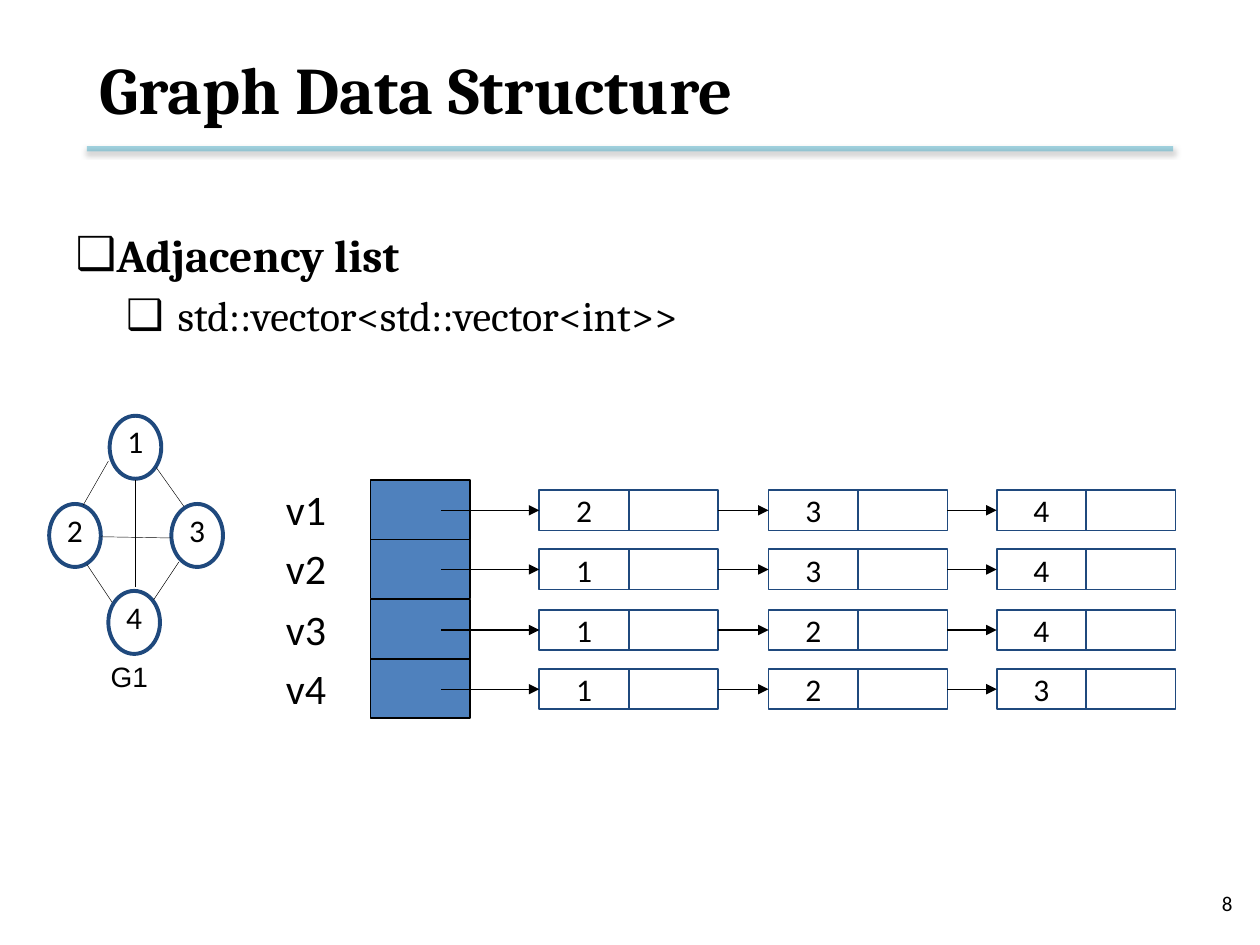
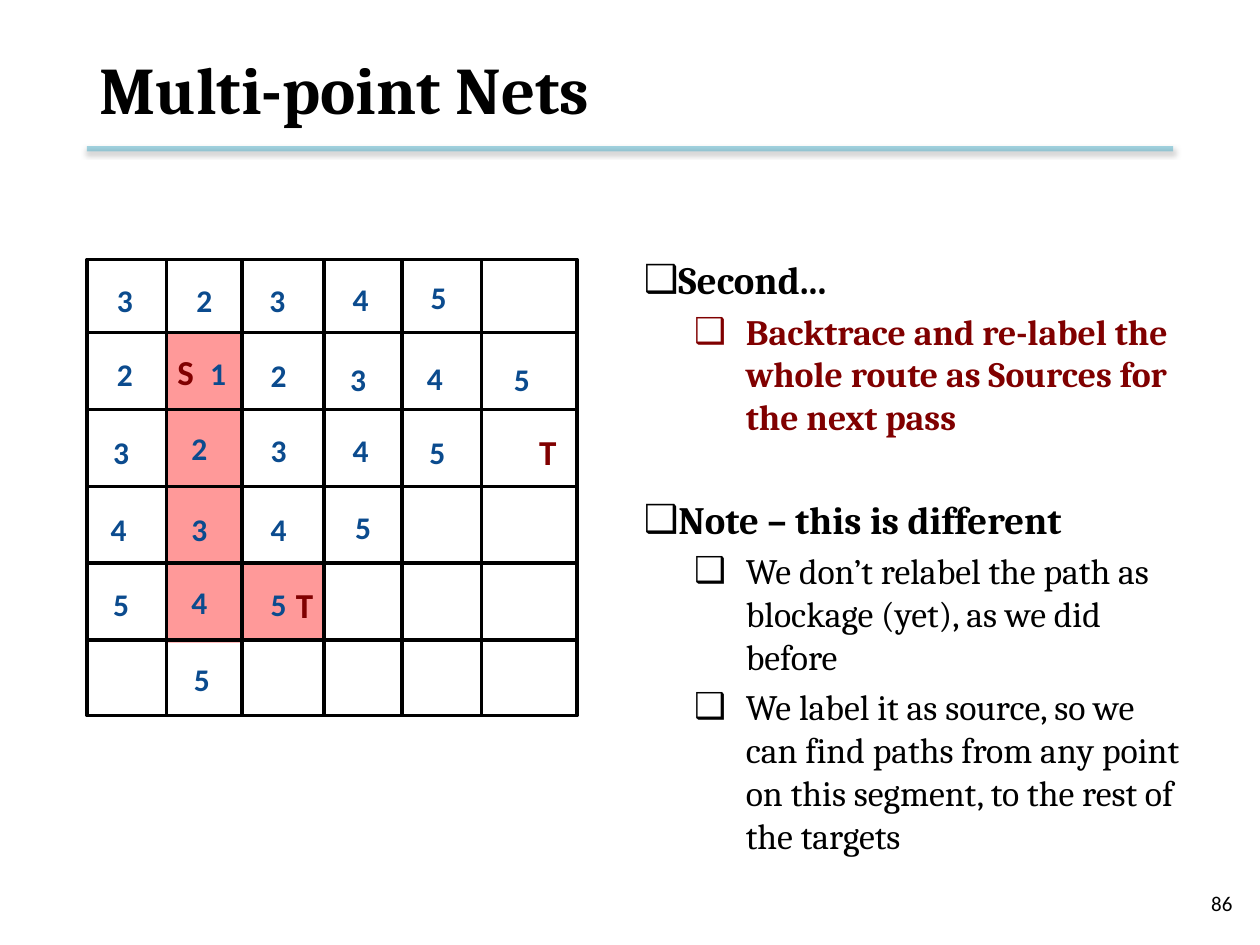
"""Build two lecture slides: adjacency lists and multi-point net routing."""
from dataclasses import dataclass
from typing import NamedTuple, Optional

from lxml import etree
from pptx import Presentation
from pptx import slide as sl
from pptx import util as u
from pptx.dml import color
from pptx.enum import shapes, text
from pptx.oxml import ns
from pptx.shapes import autoshape, connector
from pptx.text import text as tx

PX = 9144
BLACK, NAVY, STEEL, TEAL = "000000", "1F497D", "4F81BD", "4BACC6"
MAROON, LABEL_BLUE, ROSE = "800000", "0B4B8E", "FF9999"
BULLET = "❑"
RECT, OVAL = shapes.MSO_SHAPE.RECTANGLE, shapes.MSO_SHAPE.OVAL
LEFT, CENTER, RIGHT = text.PP_ALIGN.LEFT, text.PP_ALIGN.CENTER, text.PP_ALIGN.RIGHT
TOP, MIDDLE = text.MSO_ANCHOR.TOP, text.MSO_ANCHOR.MIDDLE


class Box(NamedTuple):
    x: int
    y: int
    w: int
    h: int


class Segment(NamedTuple):
    x1: int
    y1: int
    x2: int
    y2: int


@dataclass(frozen=True)
class Style:
    size: float
    font: str = "Calibri"
    color: str = BLACK
    bold: bool = False


@dataclass(frozen=True)
class Point:
    words: str
    style: Style
    level: int = 0
    before: Optional[int] = None


TITLE = Style(38, "Cambria", bold=True)
NUMBER, VERTEX, VECTOR = Style(12), Style(18), Style(24)
CAPTION = Style(16, "Arial")
TERMINAL = Style(20, color=MAROON, bold=True)
DISTANCE = Style(18, color=LABEL_BLUE, bold=True)
INDENTS = [(25, -45), (81, -41)]

VERTICES = {"1": (87, 330), "3": (136, 400), "4": (86, 469), "2": (39, 400)}
EDGES = [
    Segment(124, 371, 146, 402), Segment(122, 476, 142, 446),
    Segment(69, 448, 89, 478), Segment(66, 401, 86, 366),
    Segment(80, 426, 136, 427), Segment(107, 381, 107, 466),
]
NEIGHBOURS = {"v1": "234", "v2": "134", "v3": "124", "v4": "123"}

ROUTE = [Box(133, 263, 59, 247), Box(152, 446, 105, 63)]
TERMINALS = [("S", Box(131, 273, 39, 43)), ("T", Box(225, 458, 37, 43)),
             ("T", Box(418, 337, 37, 43))]
WAVEFRONT = {
    "1": [(157, 276)],
    "2": [(146, 218), (205, 278), (83, 277), (142, 336)],
    "3": [(204, 218), (268, 281), (205, 337), (142, 400), (80, 339), (83, 218)],
    "4": [(270, 217), (329, 280), (270, 337), (205, 400), (142, 458), (78, 400)],
    "5": [(332, 216), (398, 281), (331, 339), (272, 398), (205, 459), (144, 519),
          (80, 459)],
}


def rgb(value: str) -> color.RGBColor:
    """Turn a hex string into a colour."""
    return color.RGBColor.from_string(value)


def emu(lengths: tuple) -> list[int]:
    """Scale px lengths to EMU."""
    return [u.Emu(length * PX) for length in lengths]


def child(parent: etree._Element, tag: str, **attributes: object) -> etree._Element:
    """Append a drawing element with attributes."""
    return etree.SubElement(parent, ns.qn(tag), {k: str(v) for k, v in attributes.items()})


def write(paragraph: tx._Paragraph, words: str, style: Style) -> None:
    """Add one formatted run."""
    run = paragraph.add_run()
    run.text = words
    run.font.name = style.font
    run.font.size = u.Pt(style.size)
    run.font.bold = style.bold
    run.font.color.rgb = rgb(style.color)


def add_label(slide: sl.Slide, box: Box, words: str, style: Style,
              align: text.PP_ALIGN = LEFT, anchor: text.MSO_ANCHOR = TOP,
              wrap: bool = False) -> None:
    """Place a text box, grown to its words unless it wraps."""
    frame = slide.shapes.add_textbox(*emu(box)).text_frame
    frame.word_wrap = wrap
    frame.auto_size = text.MSO_AUTO_SIZE.NONE if wrap else text.MSO_AUTO_SIZE.SHAPE_TO_FIT_TEXT
    frame.vertical_anchor = anchor
    frame.paragraphs[0].alignment = align
    write(frame.paragraphs[0], words, style)


def add_block(slide: sl.Slide, box: Box, fill: str = "", line: str = "",
              width: float = 1, kind: shapes.MSO_SHAPE = RECT) -> autoshape.Shape:
    """Draw a flat shape with optional fill and outline."""
    block = slide.shapes.add_shape(kind, *emu(box))
    block.shadow.inherit = False
    if fill:
        block.fill.solid()
        block.fill.fore_color.rgb = rgb(fill)
    else:
        block.fill.background()
    if line:
        block.line.color.rgb = rgb(line)
        block.line.width = u.Pt(width)
    else:
        block.line.fill.background()
    return block


def add_line(slide: sl.Slide, segment: Segment, width: float, hue: str = BLACK,
             arrow: bool = False) -> connector.Connector:
    """Draw a straight line without shadow."""
    line = slide.shapes.add_connector(shapes.MSO_CONNECTOR.STRAIGHT, *emu(segment))
    line.line.color.rgb = rgb(hue)
    line.line.width = u.Pt(width)
    if arrow:
        child(line.line._get_or_add_ln(), "a:tailEnd", type="triangle")
    child(line.element.spPr, "a:effectLst")
    return line


def add_title_rule(slide: sl.Slide) -> None:
    """Move a translucent shadowed rule onto the shared layout."""
    rule = add_line(slide, Segment(69, 118, 931, 118), 3, TEAL)
    properties = rule.element.spPr
    child(properties.find(".//" + ns.qn("a:srgbClr")), "a:alpha", val=50000)
    shadow = child(properties.find(ns.qn("a:effectLst")), "a:outerShdw",
                   blurRad=u.Pt(3.1), dist=u.Pt(1.6), dir=5400000, rotWithShape=0)
    child(child(shadow, "a:srgbClr", val=BLACK), "a:alpha", val=38000)
    slide.slide_layout.shapes.element.append(rule.element)


def fill_body(slide: sl.Slide, box: Box, points: list[Point]) -> None:
    """Fill the body placeholder with bulleted points."""
    body = slide.placeholders[1]
    body.left, body.top, body.width, body.height = emu(box)
    frame = body.text_frame
    frame.auto_size = text.MSO_AUTO_SIZE.NONE
    for index, point in enumerate(points):
        paragraph = frame.add_paragraph() if index else frame.paragraphs[0]
        paragraph.level = point.level
        properties = paragraph._p.get_or_add_pPr()
        margin, indent = emu(INDENTS[point.level])
        properties.set("marL", str(margin))
        properties.set("indent", str(indent))
        child(properties, "a:buFont", typeface="Arial")
        child(properties, "a:buChar", char=BULLET)
        if point.before is not None:
            paragraph.space_before = u.Pt(point.before)
        write(paragraph, point.words, point.style)


def start_slide(deck: Presentation, heading: str, number: str) -> sl.Slide:
    """Add a slide with its title and number."""
    slide = deck.slides.add_slide(deck.slide_layouts[1])
    title = slide.shapes.title
    title.left, title.top, title.width, title.height = emu(Box(69, 17, 862, 106))
    frame = title.text_frame
    frame.auto_size = text.MSO_AUTO_SIZE.NONE
    frame.vertical_anchor = MIDDLE
    frame.paragraphs[0].alignment = LEFT
    write(frame.paragraphs[0], heading, TITLE)
    add_label(slide, Box(755, 697, 233, 40), number, NUMBER, RIGHT, MIDDLE, wrap=True)
    return slide


def draw_graph(slide: sl.Slide) -> None:
    """Draw graph G1 with its vertices and edges."""
    for name, (x, y) in VERTICES.items():
        vertex = add_block(slide, Box(x, y, 41, 50), line=NAVY, width=2.25, kind=OVAL)
        frame = vertex.text_frame
        frame.margin_left = frame.margin_top = frame.margin_right = frame.margin_bottom = 0
        frame.vertical_anchor = TOP
        frame.paragraphs[0].alignment = CENTER
        frame.paragraphs[0].line_spacing = 0.96
        write(frame.paragraphs[0], name, VERTEX)
    for edge in EDGES:
        add_line(slide, edge, 0.25)
    add_label(slide, Box(78, 518, 56, 37), "G1", CAPTION, anchor=MIDDLE)


def draw_adjacency(slide: sl.Slide) -> None:
    """Draw the vector of linked neighbour lists."""
    for row, (vector, neighbours) in enumerate(NEIGHBOURS.items()):
        top = round(381 + 47.3 * row)
        add_block(slide, Box(294, top, 79, 47), STEEL, BLACK, 0.75)
        add_label(slide, Box(217, top - 2, 52, 51), vector, VECTOR)
        arrow_start = 350
        for column, neighbour in enumerate(neighbours):
            left = round(428 + 181.5 * column)
            value = add_block(slide, Box(left, top + 8, 71, 32), line=NAVY)
            frame = value.text_frame
            frame.word_wrap = False
            frame.vertical_anchor = MIDDLE
            frame.paragraphs[0].alignment = CENTER
            write(frame.paragraphs[0], neighbour, VERTEX)
            add_block(slide, Box(left + 71, top + 8, 71, 32), line=NAVY)
            add_line(slide, Segment(arrow_start, top + 24, left, top + 24), 0.75, arrow=True)
            arrow_start = left + 142


def draw_maze(slide: sl.Slide) -> None:
    """Draw the routing grid with its route and distances."""
    for stretch in ROUTE:
        add_block(slide, stretch, ROSE)
    add_block(slide, Box(69, 206, 389, 362), line=BLACK, width=2)
    for y in range(264, 509, 61):
        add_line(slide, Segment(71, y, 456, y), 2)
    for x in (132, 192, 257, 319, 382):
        add_line(slide, Segment(x, 206, x, 567), 2)
    for name, box in TERMINALS:
        add_label(slide, box, name, TERMINAL)
    for distance, cells in WAVEFRONT.items():
        for x, y in cells:
            add_label(slide, Box(x, y, 34, 40), distance, DISTANCE)


def main() -> None:
    """Build and save the deck."""
    deck = Presentation()
    deck.slide_width, deck.slide_height = emu((1000, 750))

    structure = start_slide(deck, "Graph Data Structure", "8")
    add_title_rule(structure)
    fill_body(structure, Box(50, 175, 900, 495), [
        Point("Adjacency list", Style(26, "Cambria", bold=True), before=0),
        Point("std::vector<std::vector<int>>", Style(24, "Cambria"), 1),
    ])
    draw_graph(structure)
    draw_adjacency(structure)

    nets = start_slide(deck, "Multi-point Nets", "86")
    step = Style(22.1, "Cambria", bold=True)
    detail = Style(20.4, "Cambria")
    fill_body(nets, Box(501, 198, 447, 424), [
        Point("Second...", step, before=0),
        Point("Backtrace and re-label the whole route as Sources for the next pass",
              Style(20.4, "Cambria", MAROON, True), 1),
        Point("Note – this is different", step, before=33),
        Point("We don’t relabel the path as blockage (yet), as we did before", detail, 1),
        Point("We label it as source, so we can find paths from any point on this segment, "
              "to the rest of the targets", detail, 1),
    ])
    draw_maze(nets)
    deck.save("out.pptx")


if __name__ == "__main__":
    main()
